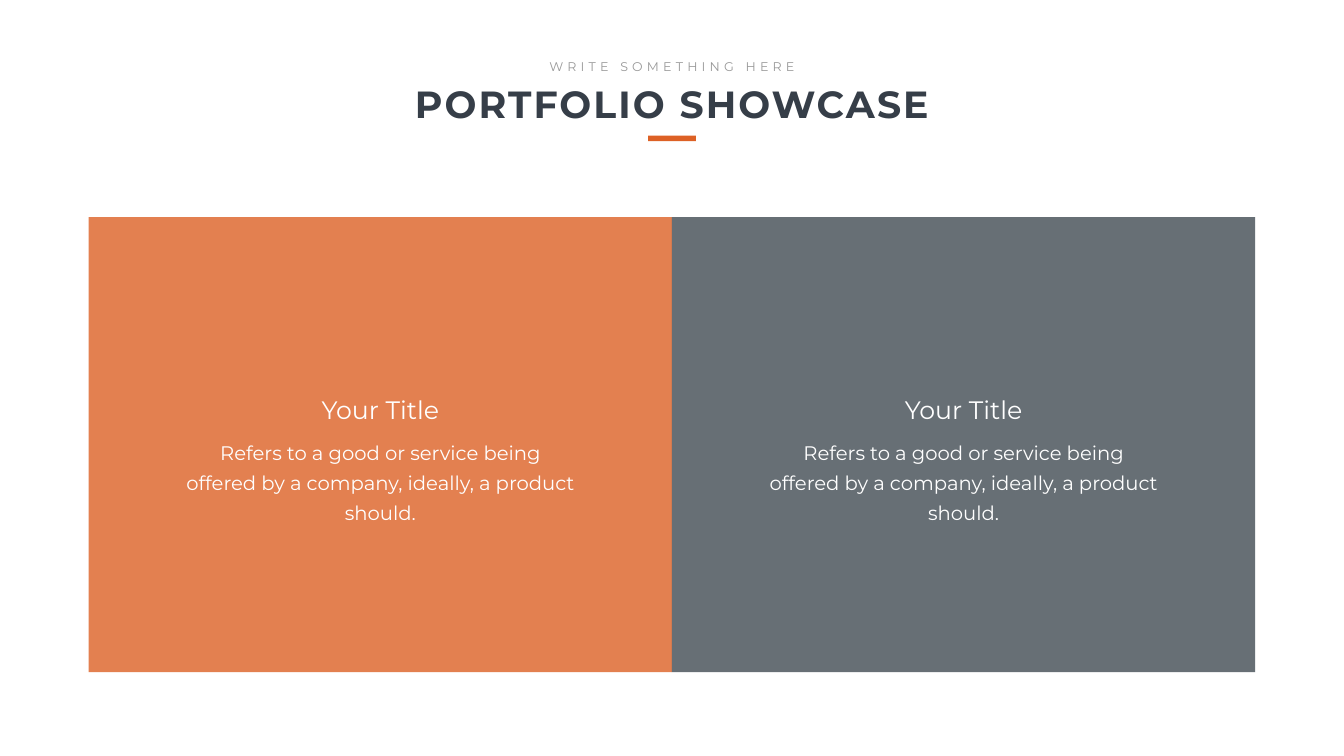
from lxml.etree import SubElement
from pptx import Presentation
from pptx.dml.color import RGBColor
from pptx.enum.shapes import MSO_SHAPE
from pptx.enum.text import PP_ALIGN
from pptx.oxml.ns import qn
from pptx.util import Pt

FONT = "Montserrat"
BODY = "Refers to a good or service being offered by a company, ideally, a product should."


def color(value):
    """Turn a hex string into a colour."""
    return RGBColor.from_string(value)


def add_rect(slide, box, fill, alpha=100):
    """Add a plain rectangle with the given opacity in percent."""
    shape = slide.shapes.add_shape(MSO_SHAPE.RECTANGLE, *map(Pt, box))
    shape.shadow.inherit = False
    shape.line.fill.background()
    shape.fill.solid()
    shape.fill.fore_color.rgb = color(fill)
    if alpha < 100:
        tone = shape._element.spPr.find(qn("a:solidFill"))[0]
        SubElement(tone, qn("a:alpha"), val=str(alpha * 1000))


def add_text(slide, box, text, size, fill, bold=False, track=0, lead=None,
             inset=(7.2, 3.6), wrap=True):
    """Add one centred paragraph in a text box."""
    frame = slide.shapes.add_textbox(*map(Pt, box)).text_frame
    frame.word_wrap = wrap
    frame.margin_left = frame.margin_right = Pt(inset[0])
    frame.margin_top = frame.margin_bottom = Pt(inset[1])
    para = frame.paragraphs[0]
    para.alignment = PP_ALIGN.CENTER
    if lead:
        para.line_spacing = Pt(lead)
    run = para.add_run()
    run.text = text
    font = run.font
    font.name, font.size, font.bold = FONT, Pt(size), bold
    font.color.rgb = color(fill)
    if track:
        run._r.get_or_add_rPr().set("spc", str(track * 100))


def add_header(slide, left, top, width):
    """Place the tagline, heading and accent bar within a band."""
    mid = left + width / 2
    add_text(slide, (left, top + 31, width, 73), "PORTFOLIO SHOWCASE", 54,
             "363E48", bold=True, track=3)
    add_text(slide, (mid - 186.5, top, 373, 29), "WRITE SOMETHING HERE", 18,
             "999999", track=6, wrap=False)
    add_rect(slide, (mid - 34, top + 113, 68, 8), "DD6125")


def add_panel(slide, left, top, width, height, fill):
    """Place a tinted panel with its title and body text."""
    mid = left + width / 2
    add_rect(slide, (left, top, width, height), fill, alpha=80)
    add_text(slide, (mid - 299, top + 301, 598, 147), BODY, 28, "FFFFFF",
             lead=43, inset=(17.28, 8.64))
    add_text(slide, (mid - 171, top + 250, 342, 51), "Your Title", 36, "FFFFFF")


def main():
    """Build and save the slide."""
    deck = Presentation()
    deck.slide_width, deck.slide_height = Pt(1919.52), Pt(1080)
    slide = deck.slides.add_slide(deck.slide_layouts[6])
    add_header(slide, 576.76, 80.6, 766)
    wide = 833
    for i, fill in enumerate(("DD6125", "424C53")):
        add_panel(slide, 126.76 + i * wide, 310.3, wide, 650, fill)
    deck.save("out.pptx")


if __name__ == "__main__":
    main()
